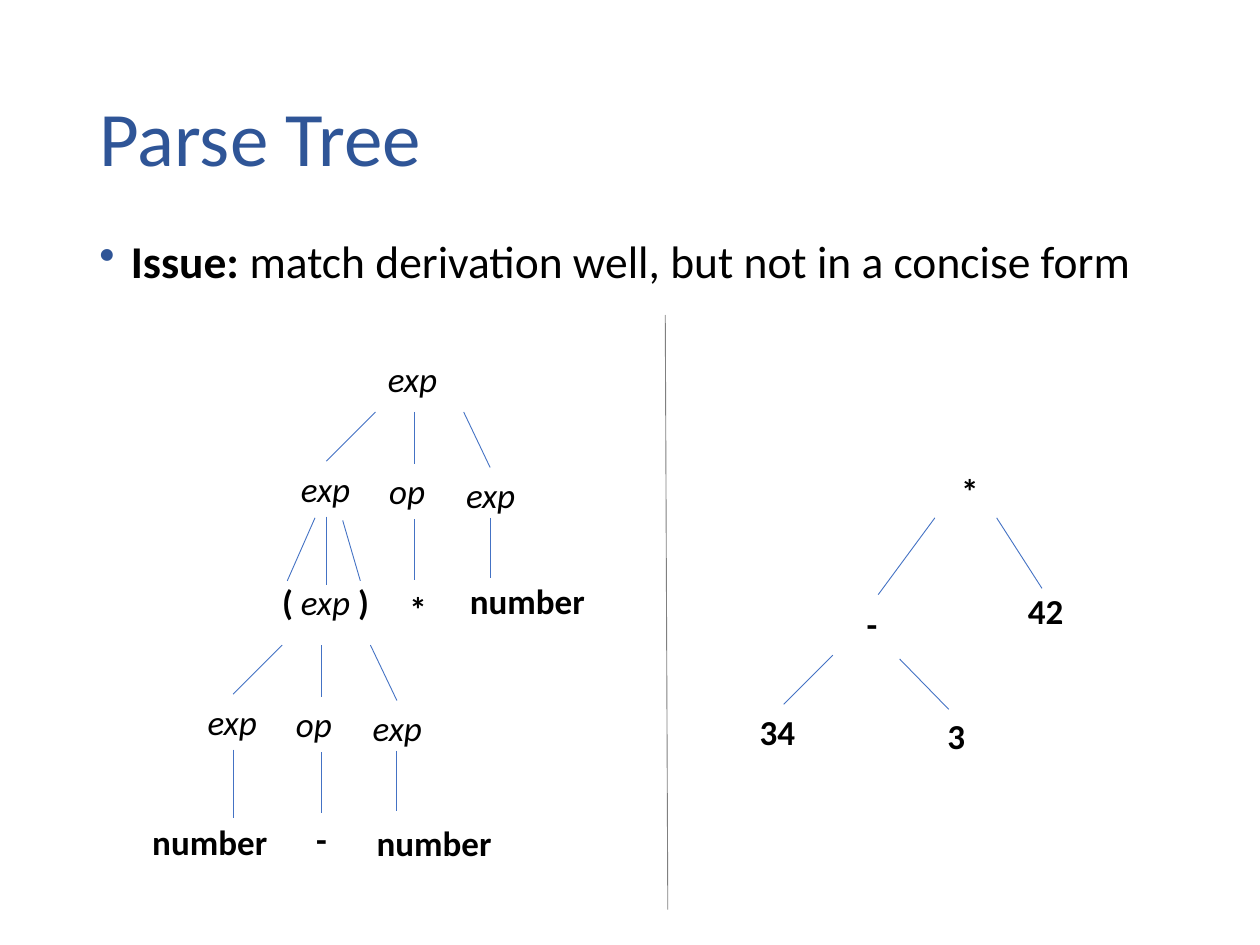
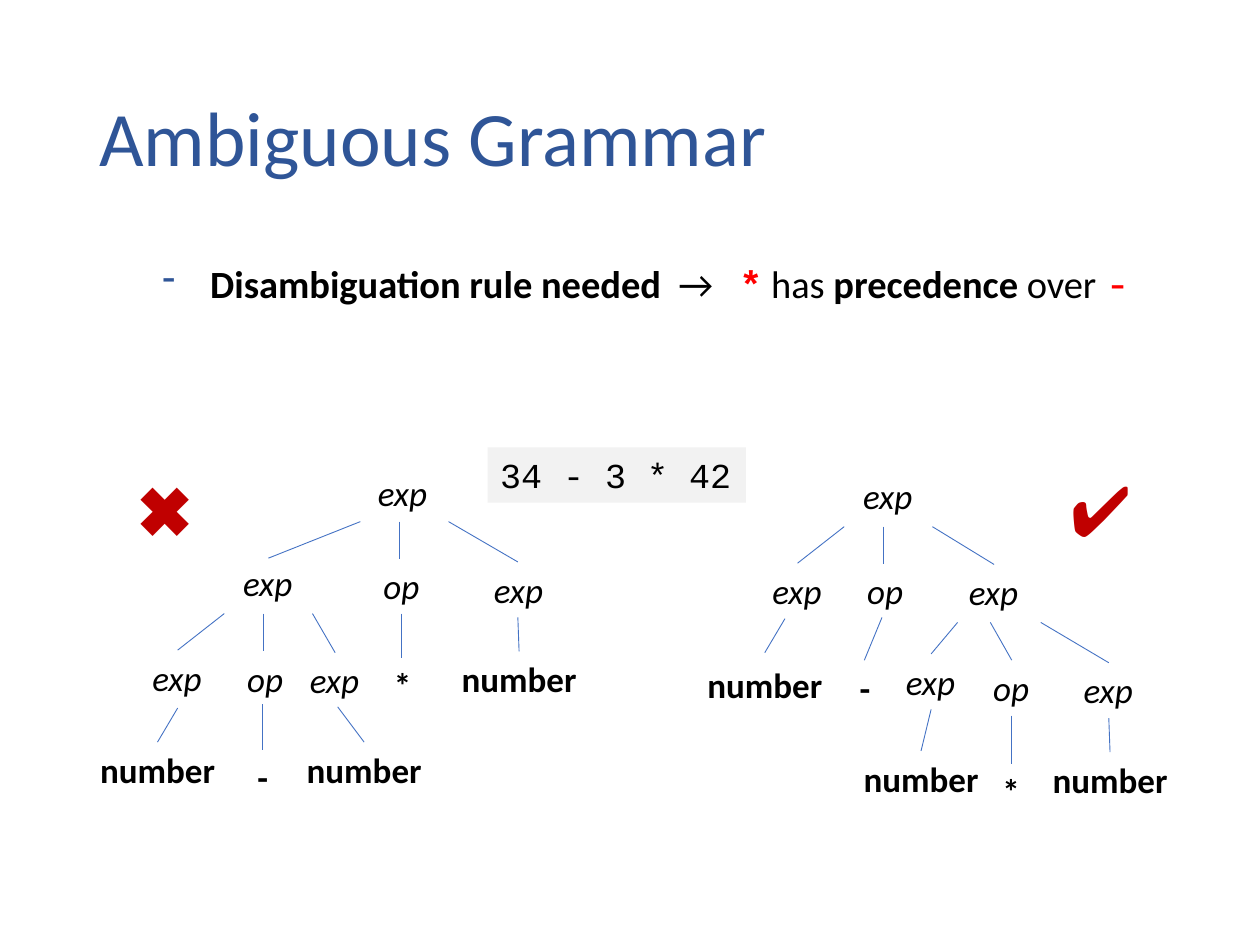
"""Build two slides on parse trees and ambiguous grammars."""
from dataclasses import dataclass
from typing import NamedTuple

from lxml import etree
from pptx import Presentation
from pptx import util as u
from pptx.dml.color import RGBColor
from pptx.enum import shapes, text
from pptx.oxml.ns import qn

EMU_PER_PX = 9144
FAN_STARTS = (0, 31, 70)
TOKEN_HEIGHT = 44
TOKEN_WIDTHS = {"exp": 59, "op": 59, "number": 112, "( exp )": 89,
                "*": 39, "-": 29, "42": 49, "34": 49, "3": 34}
FIXED_WIDTH_TOKENS = ("op", "*")
LEFT, CENTER = text.PP_ALIGN.LEFT, text.PP_ALIGN.CENTER


@dataclass(frozen=True)
class Theme:
    """Colours, fonts and type sizes shared by the slides."""

    accent: str = "2F5597"
    ink: str = "000000"
    branch: str = "4472C4"
    divider: str = "808080"
    operator: str = "FF0000"
    verdict: str = "C00000"
    code_fill: str = "F2F2F2"
    font: str = "Calibri"
    code_font: str = "Courier New"
    title_size: int = 44
    issue_size: int = 26
    rule_size: int = 22
    operator_size: int = 24
    token_size: int = 20
    verdict_size: int = 40
    line_width: float = 0.5


THEME = Theme()


class Box(NamedTuple):
    """A rectangle in px."""

    left: int
    top: int
    width: int
    height: int


class Run(NamedTuple):
    """A piece of text with its own format."""

    words: str
    bold: bool = False
    italic: bool = False
    color: str = THEME.ink
    font: str = THEME.font
    size: int | None = None
    tracking: int = 0


class Bullet(NamedTuple):
    """A bullet character and its hanging indent in px."""

    character: str
    margin: int
    hanging: int


class Token(NamedTuple):
    """A tree label at its left top corner."""

    words: str
    left: int
    top: int


class Edge(NamedTuple):
    """A straight line between two points."""

    x1: int
    y1: int
    x2: int
    y2: int


class Tree(NamedTuple):
    """Labels and the edges that join them."""

    tokens: list[Token]
    edges: list[Edge]


def px(length: int) -> u.Emu:
    """Turn px into EMU."""
    return u.Emu(length * EMU_PER_PX)


def rgb(color: str) -> RGBColor:
    """Turn a hex string into a colour."""
    return RGBColor.from_string(color)


def set_bullet(paragraph, bullet: Bullet) -> None:
    """Give a paragraph a coloured bullet and a hanging indent."""
    properties = paragraph._p.get_or_add_pPr()
    properties.set("marL", str(px(bullet.margin)))
    properties.set("indent", str(-px(bullet.hanging)))
    color = etree.SubElement(properties, qn("a:buClr"))
    etree.SubElement(color, qn("a:srgbClr")).set("val", THEME.accent)
    etree.SubElement(properties, qn("a:buChar")).set("char", bullet.character)


def add_text(slide, box: Box, runs: list[Run], *, size: int, align=LEFT,
             anchor=text.MSO_ANCHOR.TOP, wrap: bool = True, grow: bool = True,
             line_spacing: float | None = None, inset_top: int = 5,
             bullet: Bullet | None = None, fill: str | None = None) -> None:
    """Add a text box holding one paragraph of formatted runs."""
    shape = slide.shapes.add_textbox(*map(px, box))
    if fill:
        shape.fill.solid()
        shape.fill.fore_color.rgb = rgb(fill)
    frame = shape.text_frame
    frame.word_wrap = wrap
    frame.auto_size = (text.MSO_AUTO_SIZE.SHAPE_TO_FIT_TEXT if grow
                       else text.MSO_AUTO_SIZE.NONE)
    frame.vertical_anchor = anchor
    frame.margin_top = px(inset_top)
    paragraph = frame.paragraphs[0]
    paragraph.alignment = align
    paragraph.line_spacing = line_spacing
    if bullet:
        set_bullet(paragraph, bullet)
    for run in runs:
        piece = paragraph.add_run()
        piece.text = run.words
        font = piece.font
        font.name, font.size = run.font, u.Pt(run.size or size)
        font.bold, font.italic = run.bold, run.italic
        font.color.rgb = rgb(run.color)
        if run.tracking:
            piece._r.get_or_add_rPr().set("spc", str(run.tracking * 100))


def add_line(slide, edge: Edge, color: str = THEME.branch) -> None:
    """Draw a thin straight line without shadow."""
    line = slide.shapes.add_connector(shapes.MSO_CONNECTOR.STRAIGHT, *map(px, edge))
    line.line.color.rgb = rgb(color)
    line.line.width = u.Pt(THEME.line_width)
    etree.SubElement(line._element.spPr, qn("a:effectLst"))


def add_title(slide, title: str) -> None:
    """Add the slide title."""
    add_text(slide, Box(69, 40, 862, 145), [Run(title, color=THEME.accent)],
             size=THEME.title_size, anchor=text.MSO_ANCHOR.MIDDLE, grow=False,
             line_spacing=0.9)


def token_runs(words: str) -> list[Run]:
    """Set nonterminals in italics and terminals in bold."""
    if words == "( exp )":
        return [Run("(", bold=True), Run(" exp ", italic=True), Run(")", bold=True)]
    nonterminal = words in ("exp", "op")
    return [Run(words, bold=not nonterminal, italic=nonterminal)]


def add_tree(slide, tree: Tree, align=LEFT) -> None:
    """Draw the edges and labels of a tree."""
    for edge in tree.edges:
        add_line(slide, edge)
    for words, left, top in tree.tokens:
        add_text(slide, Box(left, top, TOKEN_WIDTHS[words], TOKEN_HEIGHT),
                 token_runs(words), size=THEME.token_size, align=align,
                 wrap=words in FIXED_WIDTH_TOKENS)


def fan(x: int, y: int, *ends: tuple[int, int]) -> list[Edge]:
    """Spread three edges from below a label to the given ends."""
    return [Edge(x + start, y, *end) for start, end in zip(FAN_STARTS, ends)]


def expansion(x: int, y: int) -> Tree:
    """Expand a label into exp, op, exp with a stem below each."""
    tokens = [Token("exp", x - 69, y + 39), Token("op", x + 1, y + 41),
              Token("exp", x + 62, y + 44)]
    stems = [Edge(x - 39, y + 83, x - 39, y + 137),
             Edge(x + 31, y + 85, x + 31, y + 133),
             Edge(x + 91, y + 84, x + 91, y + 132)]
    branches = fan(x, y, (x - 39, y + 39), (x + 31, y + 41), (x + 91, y + 44))
    return Tree(tokens, branches + stems)


def build_parse_tree(slide) -> None:
    """Compare a parse tree with its concise form."""
    add_title(slide, "Parse Tree")
    add_text(slide, Box(69, 185, 897, 109),
             [Run("Issue: ", bold=True),
              Run("match derivation well, but not in a concise form")],
             size=THEME.issue_size, grow=False, line_spacing=0.9,
             bullet=Bullet("•", 25, 25))
    for corner in ((298, 327), (224, 512)):
        add_tree(slide, expansion(*corner))
    add_tree(slide, Tree(
        [Token("exp", 298, 279), Token("( exp )", 214, 456), Token("*", 315, 461),
         Token("number", 363, 455), Token("number", 111, 646),
         Token("-", 241, 644), Token("number", 289, 647)],
        [Edge(250, 411, 228, 461), Edge(272, 413, 286, 461)]))
    add_tree(slide, Tree(
        [Token("*", 753, 368), Token("-", 678, 473), Token("42", 806, 463),
         Token("34", 593, 559), Token("3", 742, 562)],
        [Edge(742, 411, 697, 472), Edge(791, 411, 827, 467),
         Edge(661, 520, 622, 559), Edge(714, 523, 753, 563)]))
    add_line(slide, Edge(528, 250, 530, 722), THEME.divider)


def build_ambiguous_grammar(slide) -> None:
    """Show the wrong and the right tree of one expression."""
    add_title(slide, "Ambiguous Grammar")
    add_text(slide, Box(69, 152, 863, 195),
             [Run("Disambiguation rule needed", bold=True),
              Run(" → ", tracking=5),
              Run("*", bold=True, color=THEME.operator, font=THEME.code_font),
              Run(" has "), Run("precedence", bold=True), Run(" over "),
              Run("-", color=THEME.operator, font=THEME.code_font,
                  size=THEME.operator_size)],
             size=THEME.rule_size, grow=False, line_spacing=0.9, inset_top=56,
             bullet=Bullet("-", 88, 38))
    add_text(slide, Box(387, 355, 205, 44),
             [Run("34 - 3 * 42", font=THEME.code_font)],
             size=THEME.token_size, wrap=False, fill=THEME.code_fill)
    for mark, left, width in (("✔️", 840, 96), ("✖️", 99, 78)):
        add_text(slide, Box(left, 365, width, 77), [Run(mark, color=THEME.verdict)],
                 size=THEME.verdict_size)
    subtraction_first = Tree(
        [Token("exp", 290, 369), Token("exp", 183, 441), Token("op", 289, 443),
         Token("exp", 382, 446), Token("exp", 111, 516), Token("op", 181, 517),
         Token("exp", 236, 518), Token("*", 300, 522), Token("number", 356, 517),
         Token("number", 69, 589), Token("-", 194, 595), Token("number", 233, 589)],
        fan(286, 414, (213, 443), (317, 444), (411, 446))
        + fan(178, 487, (141, 516), (209, 517), (266, 518))
        + [Edge(319, 487, 319, 522), Edge(411, 490, 412, 517),
           Edge(141, 562, 125, 589), Edge(208, 559, 208, 595),
           Edge(268, 561, 289, 589)])
    product_first = Tree(
        [Token("exp", 675, 372), Token("exp", 603, 447), Token("op", 673, 447),
         Token("exp", 759, 448), Token("number", 551, 522), Token("-", 672, 524),
         Token("exp", 709, 519), Token("op", 773, 524), Token("exp", 850, 526),
         Token("number", 675, 596), Token("*", 783, 606), Token("number", 825, 597)],
        fan(670, 418, (633, 447), (701, 448), (789, 448))
        + [Edge(760, 494, 739, 519), Edge(786, 494, 803, 524),
           Edge(826, 494, 880, 526), Edge(623, 491, 607, 518),
           Edge(700, 490, 686, 524), Edge(739, 563, 731, 596),
           Edge(803, 568, 803, 606), Edge(880, 570, 881, 597)])
    for tree in (subtraction_first, product_first):
        add_tree(slide, tree, CENTER)


def main() -> None:
    """Build and save the presentation."""
    presentation = Presentation()
    presentation.slide_width, presentation.slide_height = px(1000), px(750)
    blank_layout = presentation.slide_layouts[6]
    for build in (build_parse_tree, build_ambiguous_grammar):
        build(presentation.slides.add_slide(blank_layout))
    presentation.save("out.pptx")


if __name__ == "__main__":
    main()
